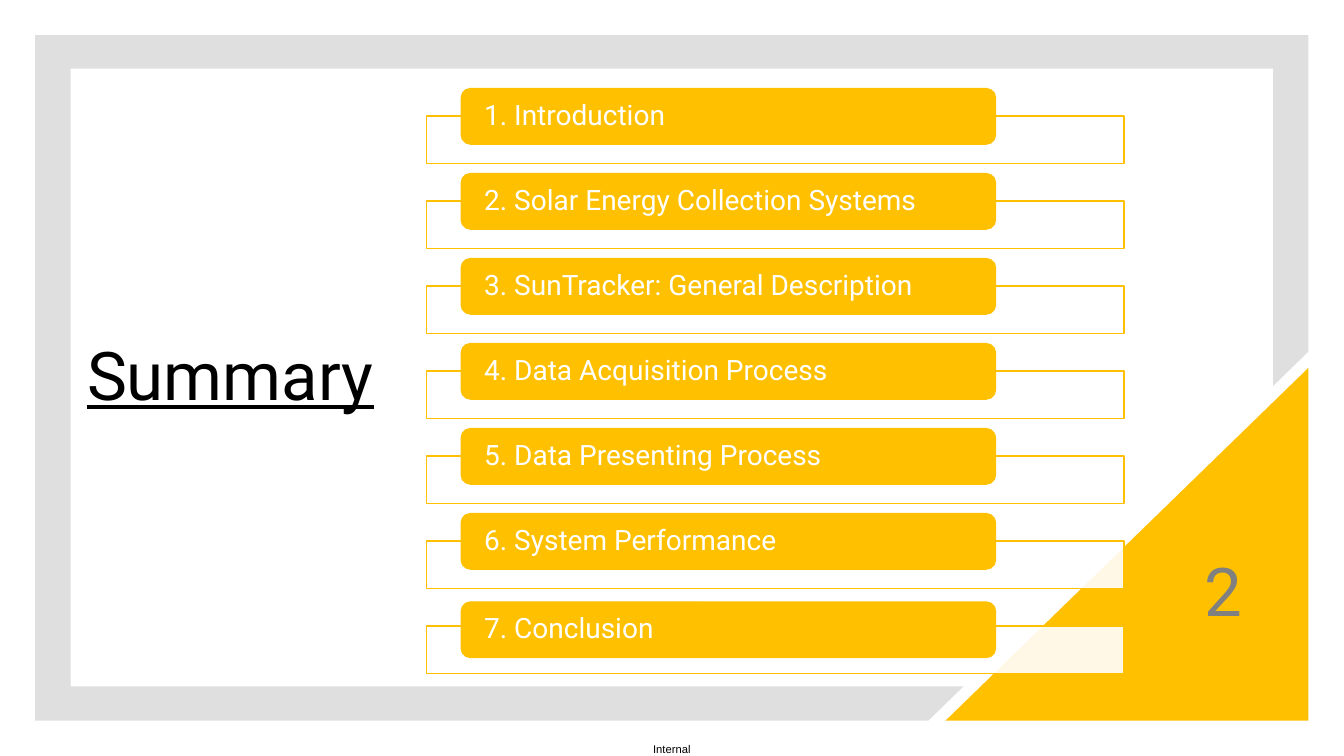
from lxml import etree
from pptx import Presentation
from pptx import util as u
from pptx.dml.color import RGBColor
from pptx.enum import shapes, text
from pptx.oxml.ns import qn

AMBER = RGBColor(0xFF, 0xC0, 0x00)
GREY = RGBColor(0x80, 0x80, 0x80)
WHITE = RGBColor(0xFF, 0xFF, 0xFF)
BLACK = RGBColor(0x00, 0x00, 0x00)

TOPICS = [
    "1. Introduction",
    "2. Solar Energy Collection Systems",
    "3. SunTracker: General Description",
    "4. Data Acquisition Process",
    "5. Data Presenting Process",
    "6. System Performance",
    "7. Conclusion",
]
FIRST_ROW, ROW_PITCH = 83, 60.72
PILL_RISE, LAST_PILL_RISE = 19.7, 17.3


class SlideBuilder:
    font = "Roboto"

    def __init__(self, slide):
        self.shapes = slide.shapes

    def paint(self, shape, fill, opacity=100, line=None):
        shape.shadow.inherit = False
        shape.fill.solid()
        shape.fill.fore_color.rgb = fill
        if opacity < 100:
            color = shape._element.spPr.find(qn("a:solidFill"))[0]
            etree.SubElement(color, qn("a:alpha")).set("val", str(opacity * 1000))
        if line is None:
            shape.line.fill.background()
        else:
            shape.line.color.rgb = line
            shape.line.width = u.Pt(1)
        return shape

    def preset(self, kind, box, fill, opacity=100, line=None):
        shape = self.shapes.add_shape(kind, *map(u.Pt, box))
        return self.paint(shape, fill, opacity, line)

    def outline(self, points, fill, opacity):
        start, *rest = [(u.Pt(x), u.Pt(y)) for x, y in points]
        builder = self.shapes.build_freeform(*start)
        builder.add_line_segments(rest, close=True)
        return self.paint(builder.convert_to_shape(), fill, opacity)

    def caption(self, shape, words, size, color, align, insets=(7.2, 3.6),
                font=None, underline=None, after=0, spacing=0.9, wrap=True):
        frame = shape.text_frame
        frame.word_wrap = wrap
        frame.vertical_anchor = text.MSO_ANCHOR.MIDDLE
        frame.margin_left = frame.margin_right = u.Pt(insets[0])
        frame.margin_top = frame.margin_bottom = u.Pt(insets[1])
        paragraph = frame.paragraphs[0]
        paragraph.alignment = align
        paragraph.line_spacing = spacing
        paragraph.space_after = u.Pt(after)
        run = paragraph.add_run()
        run.text = words
        run.font.name = font or self.font
        run.font.size = u.Pt(size)
        run.font.color.rgb = color
        run.font.underline = underline

    def label(self, box, *args, **style):
        self.caption(self.shapes.add_textbox(*map(u.Pt, box)), *args, **style)


def main():
    deck = Presentation()
    deck.slide_width, deck.slide_height = u.Pt(960), u.Pt(540)
    summary = SlideBuilder(deck.slides.add_slide(deck.slide_layouts[6]))
    align = text.PP_ALIGN
    kinds = shapes.MSO_SHAPE

    # Classification footer
    summary.label((466.5, 530.6, 28.8, 9.4), "Internal", 8, BLACK, align.LEFT,
                  insets=(0, 0), font="Arial", spacing=1.0, wrap=False)

    # Grey border, cut off at the corner, and the amber corner
    summary.outline([(25.2, 25.2), (934.6, 25.2), (934.6, 251.2), (909.4, 275.8),
                     (909.4, 49), (50.4, 49), (50.4, 490.3), (688.3, 490.3),
                     (663.1, 514.8), (25.2, 514.8)], GREY, 25)
    corner = summary.preset(kinds.RIGHT_TRIANGLE, (675.4, 262.8, 259.2, 252), AMBER)
    corner._element.spPr.find(qn("a:xfrm")).set("flipH", "1")

    # Slide number and title
    summary.label((762.5, 385.2, 131.8, 79.2), "2", 48, GREY, align.RIGHT, after=6)
    summary.label((49.7, 50.4, 229.7, 439.9), "Summary", 48, BLACK, align.CENTER,
                  underline=True)

    # Topic list: a framed row with a pill over its top edge
    for index, topic in enumerate(TOPICS):
        top = FIRST_ROW + index * ROW_PITCH
        rise = LAST_PILL_RISE if topic == TOPICS[-1] else PILL_RISE
        summary.preset(kinds.RECTANGLE, (304.6, top, 498.2, 33.8), WHITE, 90, AMBER)
        pill = summary.preset(kinds.ROUNDED_RECTANGLE, (329.5, top - rise, 381.6, 39.6),
                              AMBER, line=AMBER)
        summary.caption(pill, topic, 20, WHITE, align.LEFT, insets=(14.4, 0))

    deck.save("out.pptx")


if __name__ == "__main__":
    main()
